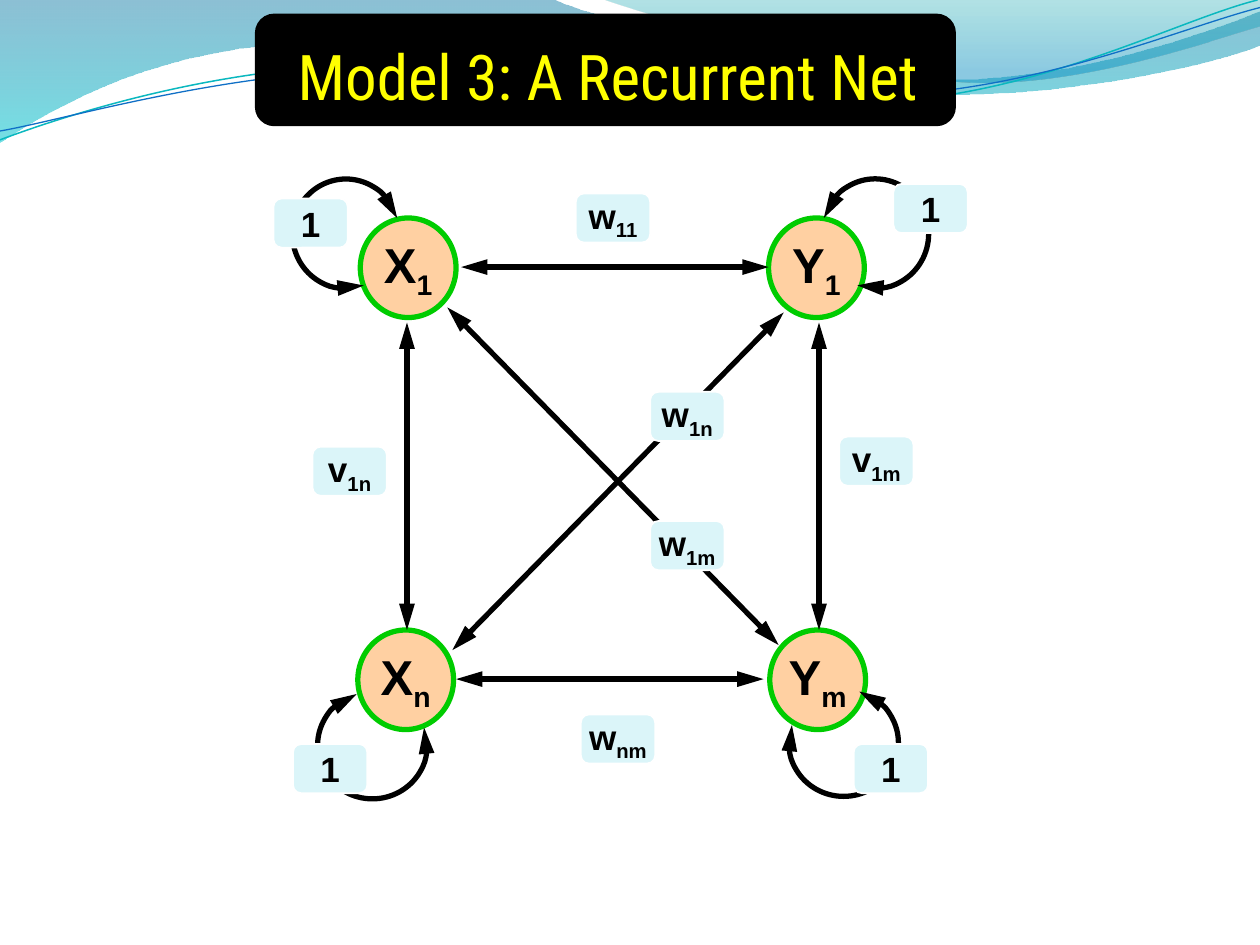
from lxml.etree import SubElement
from pptx import Presentation
from pptx.dml.color import RGBColor
from pptx.enum.shapes import MSO_CONNECTOR, MSO_SHAPE
from pptx.enum.text import MSO_ANCHOR, MSO_AUTO_SIZE, PP_ALIGN
from pptx.oxml.ns import qn
from pptx.util import Inches, Pt

# Grid of 100 columns by 75 rows; every length below is in cells
COLUMNS, ROWS = 100, 75
CELL = Inches(0.1)

BLACK = RGBColor(0, 0, 0)
WHITE = RGBColor(255, 255, 255)
YELLOW = RGBColor(255, 255, 0)
ORANGE = RGBColor(0xFF, 0x8B, 0x17)
GREEN = RGBColor(0, 0xCC, 0)
PALE_BLUE = RGBColor(0xDB, 0xF5, 0xF9)
DEEP_BLUE = RGBColor(0, 0x74, 0xA1)
CYAN = RGBColor(0, 0xC6, 0xCF)
TEAL = RGBColor(0, 0xA1, 0xA9)
SKY_BLUE = RGBColor(0, 0x8B, 0xBF)
LINE_TEAL = RGBColor(0x0A, 0xB8, 0xBF)
LINE_BLUE = RGBColor(0x0F, 0x6F, 0xC6)

NODE_FONT = {"name": "Arial", "size": Pt(28), "bold": True}
LABEL_FONT = {"name": "Arial", "size": Pt(20), "bold": True}
TITLE_FONT = {"name": "Roboto Condensed", "size": Pt(36), "bold": False}

# Waves: a start point, then one point per straight piece or three per curve
BANDS = [
    ((0, 0), [[(44, 0)],
              [(47.6, 1.7), (66.4, 6.3), (75.8, 6.3)],
              [(85.3, 6.3), (95.8, 2.6), (100, 0.9)],
              [(100, 3.6)],
              [(98.3, 4.4), (87, 7.6), (74.6, 7.5)],
              [(62.2, 7.5), (38.2, 2.8), (25.7, 3.4)],
              [(12.9, 3.5), (4.6, 8.3), (0, 11.3)]],
     [(0, DEEP_BLUE, 45), (1, CYAN, 55)]),
    ((47.9, 0), [[(50.9, 1.1), (68.2, 6.2), (76.9, 6.5)],
                 [(85.6, 6.9), (96.1, 3.2), (100, 2.1)],
                 [(100, 0)]],
     [(0, TEAL, 30), (0.8, SKY_BLUE, 45)]),
]
STRANDS = [
    ((0, 11.1), [[(4.8, 9.3), (15.8, 5.7), (27.7, 5.2)],
                 [(39.5, 4.7), (59.3, 8.9), (71.3, 8)],
                 [(83.3, 7.1), (93.8, 1.5), (99.8, 0)]], LINE_TEAL, 0.85),
    ((0, 10.4), [[(4.7, 9.6), (16.4, 6.1), (28.3, 5.6)],
                 [(40.3, 5.1), (59.7, 8.3), (71.7, 7.5)],
                 [(83.6, 6.7), (94.1, 2.1), (100, 0.6)]], LINE_BLUE, 0.75),
]

# Net: nodes, links, loops (with start angle and rotation) and labels
NODES = [("Y", "1", 61, 17.3), ("Y", "m", 61.1, 50),
         ("X", "1", 28.6, 17.3), ("X", "n", 28.4, 50)]
LINKS = [(36.6, 21.2, 61, 21.2), (36.2, 53.9, 60.6, 53.9),
         (32.3, 50, 32.3, 25.6), (65, 50, 65, 25.6),
         (35.9, 51.6, 62.2, 24.8), (61.8, 51.2, 35.5, 24.4)]
LEFT_START, RIGHT_START, LOOP_SWEEP = 161, 107, 272
LOOPS = [(23.1, 14.3, LEFT_START, 270), (25.2, 54.9, LEFT_START, 180),
         (62.6, 54.7, RIGHT_START, 180), (65.1, 14.3, RIGHT_START, 90)]
LABELS = [("w", "11", 45.7, 15.35), ("w", "nm", 46.1, 56.7),
          ("1", "", 70.9, 14.6), ("v", "1m", 66.6, 34.65),
          ("v", "1n", 24.8, 35.45), ("w", "1n", 51.6, 31.1),
          ("w", "1m", 51.6, 41.35), ("1", "", 67.75, 59.05),
          ("1", "", 23.25, 59.05), ("1", "", 21.7, 15.75)]


def cells(*values):
    return [round(value * CELL) for value in values]


def set_alpha(color_parent, percent):
    color = color_parent.find(".//" + qn("a:srgbClr"))
    SubElement(color, qn("a:alpha"), val=str(percent * 1000))


def set_line(shape, color, width):
    shape.line.color.rgb = color
    shape.line.width = Pt(width)


def add_arrowheads(shape):
    outline = shape.line._get_or_add_ln()
    for end in ("a:headEnd", "a:tailEnd"):
        SubElement(outline, qn(end), type="triangle", w="med", len="lg")


def add_preset(page, kind, place, fill, line, width):
    shape = page.shapes.add_shape(kind, *cells(*place))
    shape.shadow.inherit = False
    if fill is None:
        shape.fill.background()
    else:
        shape.fill.solid()
        shape.fill.fore_color.rgb = fill
    set_line(shape, line, width)
    return shape


def format_font(span, color, font):
    for name, value in font.items():
        setattr(span.font, name, value)
    span.font.color.rgb = color


def write_symbol(shape, letter, index, font):
    frame = shape.text_frame
    frame.word_wrap = False
    frame.vertical_anchor = MSO_ANCHOR.MIDDLE
    para = frame.paragraphs[0]
    para.alignment = PP_ALIGN.CENTER
    for text, baseline in ((letter, 0), (index, -25000)):
        if text:
            span = para.add_run()
            span.text = text
            format_font(span, BLACK, font)
            if baseline:
                span.font._element.set("baseline", str(baseline))


def add_wave(page, start, pieces, close):
    builder = page.shapes.build_freeform(*cells(*start))
    builder.add_line_segments([cells(*point) for piece in pieces for point in piece],
                              close=close)
    wave = builder.convert_to_shape()
    wave.shadow.inherit = False
    # Join each group of three segments into one cubic curve
    segments = iter(wave._element.findall(".//" + qn("a:lnTo")))
    for piece in pieces:
        group = [next(segments) for _ in piece]
        if len(group) == 3:
            outline = group[0].getparent()
            curve = SubElement(outline, qn("a:cubicBezTo"))
            outline.replace(group[0], curve)
            for segment in group:
                curve.append(segment[0])
            for segment in group[1:]:
                outline.remove(segment)
    return wave


def add_waves(page):
    for start, pieces, stops in BANDS:
        band = add_wave(page, start, pieces, True)
        band.line.fill.background()
        band.fill.gradient()
        band.fill.gradient_angle = 270
        for stop, (position, color, alpha) in zip(band.fill.gradient_stops, stops):
            stop.position = position
            stop.color.rgb = color
            set_alpha(stop._gs, alpha)
    for start, pieces, color, width in STRANDS:
        strand = add_wave(page, start, pieces, False)
        strand.fill.background()
        set_line(strand, color, width)


def add_title(page, text):
    add_preset(page, MSO_SHAPE.ROUNDED_RECTANGLE, (20.3, 1.15, 55.5, 8.8), BLACK, BLACK, 1)
    title = page.shapes.title
    page.shapes._spTree.append(title._element)  # in front of the panel
    title.left, title.top, title.width, title.height = cells(21.85, 2.45, 52.8, 6.2)
    frame = title.text_frame
    frame.text = text
    frame.word_wrap = False
    frame.auto_size = MSO_AUTO_SIZE.NONE
    frame.vertical_anchor = MSO_ANCHOR.TOP
    para = frame.paragraphs[0]
    para.alignment = PP_ALIGN.CENTER
    format_font(para.runs[0], YELLOW, TITLE_FONT)


def add_node(page, letter, index, left, top):
    node = add_preset(page, MSO_SHAPE.OVAL, (left, top, 7.6, 7.9), ORANGE, GREEN, 3)
    set_alpha(node._element.spPr.find(qn("a:solidFill")), 40)
    write_symbol(node, letter, index, NODE_FONT)


def add_link(page, *ends):
    link = page.shapes.add_connector(MSO_CONNECTOR.STRAIGHT, *cells(*ends))
    set_line(link, BLACK, 3)
    add_arrowheads(link)
    SubElement(link._element.spPr, qn("a:effectLst"))


def add_loop(page, left, top, start, rotation):
    loop = add_preset(page, MSO_SHAPE.ARC, (left, top, 8.7, 8.5), None, BLACK, 3)
    loop.rotation = rotation
    for number, angle in enumerate((start, (start + LOOP_SWEEP) % 360)):
        loop.adjustments[number] = angle * 0.6  # 60000 units to a degree
    add_arrowheads(loop)


def add_label(page, letter, index, left, top):
    label = add_preset(page, MSO_SHAPE.ROUNDED_RECTANGLE, (left, top, 5.9, 3.9),
                       PALE_BLUE, WHITE, 1)
    write_symbol(label, letter, index, LABEL_FONT)


def main():
    deck = Presentation()
    deck.slide_width, deck.slide_height = cells(COLUMNS, ROWS)
    page = deck.slides.add_slide(deck.slide_layouts[5])
    add_waves(page)
    add_title(page, "Model 3: A Recurrent Net")
    for add_part, rows in ((add_node, NODES), (add_link, LINKS),
                           (add_loop, LOOPS), (add_label, LABELS)):
        for row in rows:
            add_part(page, *row)
    deck.save("out.pptx")


if __name__ == "__main__":
    main()
